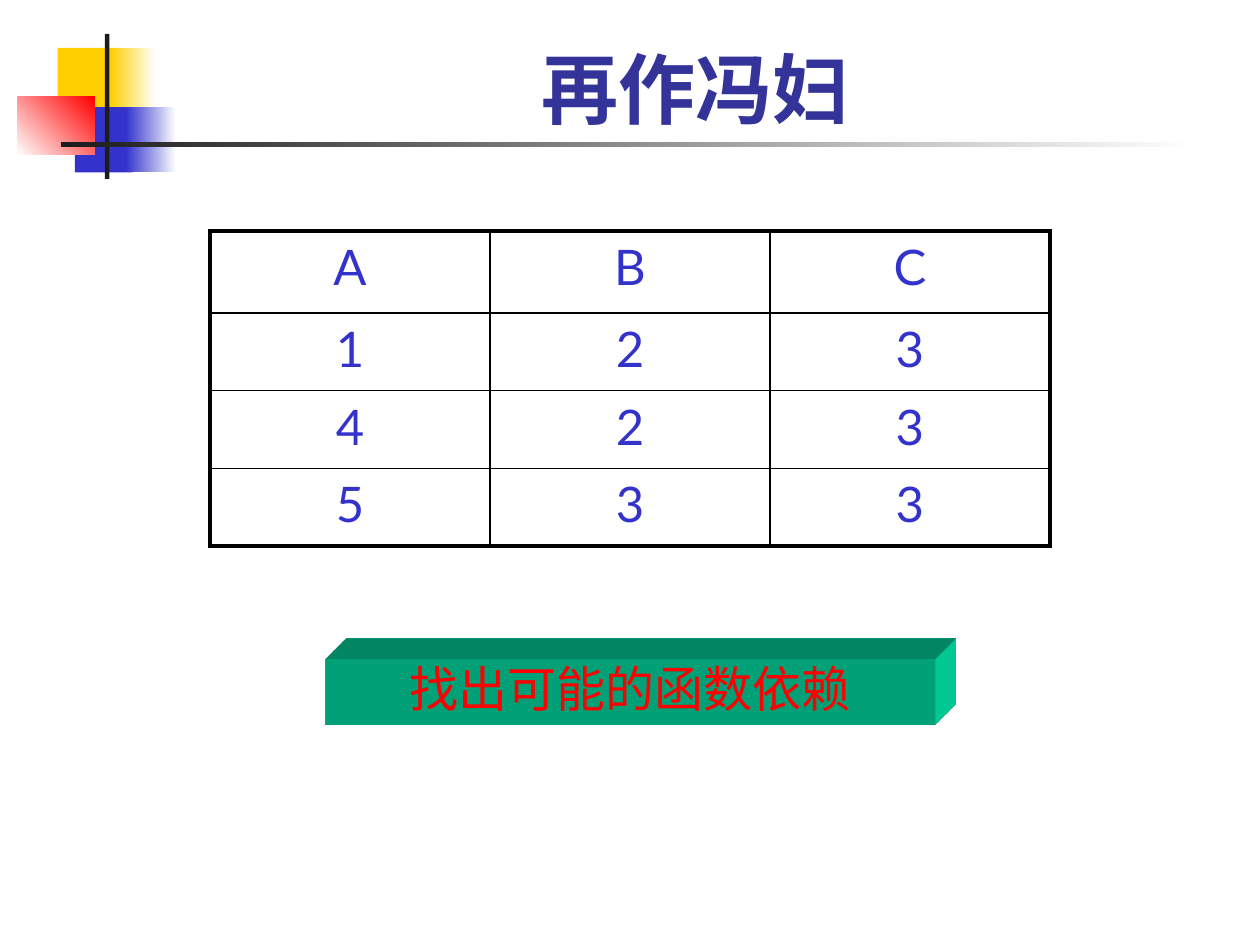
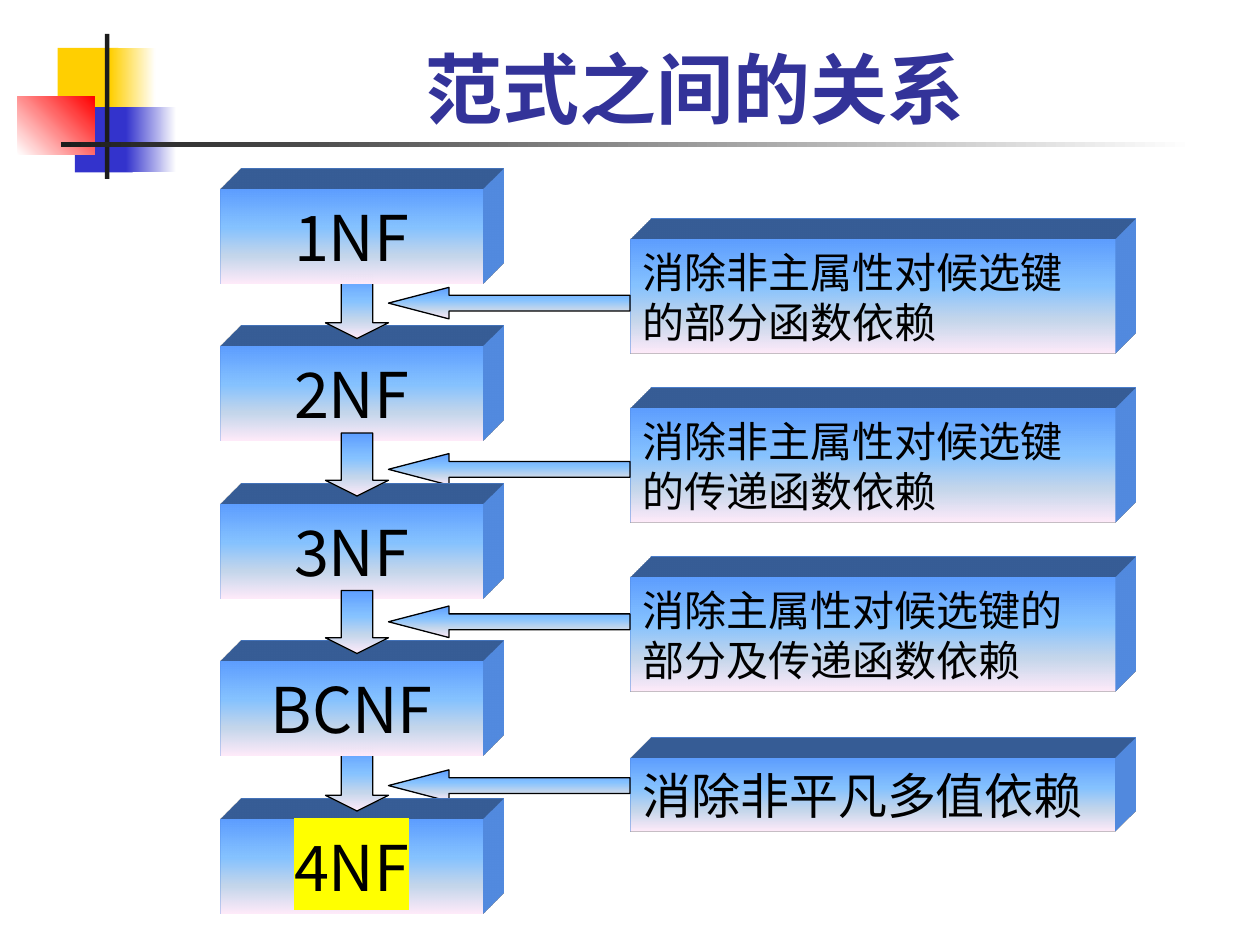
from copy import deepcopy

from lxml import etree
from pptx import Presentation
from pptx.dml import color as dml
from pptx.enum import shapes, text
from pptx.oxml import ns
from pptx.util import Pt

COLORS = {
    "white": "FFFFFF",
    "black": "000000",
    "ink": "1C1C1C",
    "gold": "FFCF01",
    "blue": "3333CC",
    "red": "FF0000",
    "title": "333399",
    "green": "00E4A8",
    "yellow": "FFFF00",
    "sky": "5E9EFF",
    "light sky": "85C2FF",
    "mist": "C4D6EB",
    "blush": "FFEBFA",
}
SKY_STOPS = [(0, "sky"), (0.4, "light sky"), (0.7, "mist"), (1, "blush")]
HEADING_FONT = "Lato"
DIAGRAM_FONT = "Noto Sans CJK JP"
SHAPE = shapes.MSO_SHAPE
ALIGN = text.PP_ALIGN
ANCHOR = text.MSO_ANCHOR

TITLE_BOX = (90.7, 12.2, 613.4, 67.7)
TABLE_BOX = (120, 132, 480, 180)
PROMPT_BOX = (186, 376.6, 348, 37.4)
LADDER_BOX = (126, 108, 150, 414)
NOTES_BOX = (360, 136.8, 277.2, 338.4)

ROWS = ["ABC", "123", "423", "533"]
LEVELS = ["1NF", "2NF", "3NF", "BCNF", "4NF"]
NOTES = [
    ("消除非主属性对候选键的部分函数依赖", 0, 65.5, 24, 27.4),
    ("消除非主属性对候选键的传递函数依赖", 96.5, 65.5, 24, 122.4),
    ("消除主属性对候选键的部分及传递函数依赖", 193, 65.5, 24, 209.5),
    ("消除非平凡多值依赖", 296.6, 41.8, 28, 303.1),
]


def rgb(name):
    return dml.RGBColor.from_string(COLORS[name])


def add_xml(parent, tag, **attributes):
    return etree.SubElement(parent, ns.qn(tag), **attributes)


def write(frame, words, size=28, font=HEADING_FONT, color="black", bold=False,
          align=ALIGN.LEFT, anchor=ANCHOR.TOP, wrap=True, before=0,
          spacing=None, highlight=None):
    frame.word_wrap = wrap
    frame.vertical_anchor = anchor
    para = frame.paragraphs[0]
    para.alignment = align
    para.space_before = Pt(before)
    para.line_spacing = spacing
    span = para.add_run()
    span.text = words
    span.font.size = Pt(size)
    span.font.name = font
    span.font.bold = bold
    span.font.color.rgb = rgb(color)
    if highlight:
        mark = etree.Element(ns.qn("a:highlight"))
        add_xml(mark, "a:srgbClr", val=COLORS[highlight])
        span.font._element.find(ns.qn("a:solidFill")).addnext(mark)


def paint_gradient(shape, stops, angle):
    shape.fill.gradient()
    shape.fill.gradient_angle = -angle % 360
    stop_list = shape._element.spPr.find(".//" + ns.qn("a:gsLst"))
    while len(stop_list) < len(stops):
        stop_list.append(deepcopy(stop_list[0]))
    for stop, (position, name) in zip(shape.fill.gradient_stops, stops):
        stop.position = position
        stop.color.rgb = rgb(name)


def add_block(page, box, fill, kind=SHAPE.RECTANGLE, angle=0, line=None):
    shape = page.shapes.add_shape(kind, *map(Pt, box))
    shape.shadow.inherit = False
    if isinstance(fill, str):
        shape.fill.solid()
        shape.fill.fore_color.rgb = rgb(fill)
    else:
        paint_gradient(shape, fill, angle)
    if line:
        shape.line.color.rgb = rgb(line)
        shape.line.width = Pt(0.75)
    else:
        shape.line.fill.background()
    return shape


def extrude(shape, color):
    properties = shape._element.spPr
    scene = add_xml(properties, "a:scene3d")
    add_xml(scene, "a:camera", prst="legacyObliqueTopRight")
    add_xml(scene, "a:lightRig", rig="legacyFlat3", dir="b")
    solid = add_xml(properties, "a:sp3d", extrusionH=str(int(Pt(33.87))),
                    prstMaterial="legacyMatte")
    side = add_xml(solid, "a:extrusionClr")
    add_xml(side, "a:srgbClr", val=COLORS[color])


def add_sky_block(page, box):
    block = add_block(page, box, SKY_STOPS, angle=90)
    extrude(block, "sky")
    return block


def add_sky_arrow(page, box, kind, adjustments):
    arrow = add_block(page, box, SKY_STOPS, kind, 90, "black")
    for index, value in enumerate(adjustments):
        arrow.adjustments[index] = value


def add_ornament(page, left=10, top=19.4):
    def fade(start, end="white"):
        return [(0, start), (1, end)]

    for x, y, width, height, fill, angle in [
        (23, 8, 34.6, 37.4, "gold", 0),
        (53, 8, 25.9, 37.4, fade("gold"), 0),
        (32.8, 41.8, 33.1, 37.4, "blue", 0),
        (62, 41.8, 28.8, 37.4, fade("blue"), 0),
        (0, 36, 44.2, 33.1, fade("white", "red"), 315),
        (50, 0, 2.5, 82.8, "ink", 0),
        (24.8, 61.9, 648, 2.5, fade("ink"), 0),
    ]:
        add_block(page, (left + x, top + y, width, height), fill, angle=angle)


def add_page(deck, title):
    page = deck.slides.add_slide(deck.slide_layouts[6])
    add_ornament(page)
    box = page.shapes.add_textbox(*map(Pt, TITLE_BOX))
    write(box.text_frame, title, size=44, color="title", bold=True,
          align=ALIGN.CENTER, anchor=ANCHOR.BOTTOM)
    return page


def add_borders(cell, widths):
    properties = cell._tc.get_or_add_tcPr()
    for index, (side, width) in enumerate(widths.items()):
        line = etree.Element(ns.qn("a:ln" + side), w=str(int(Pt(width))))
        fill = add_xml(line, "a:solidFill")
        add_xml(fill, "a:srgbClr", val=COLORS["black"])
        properties.insert(index, line)


def add_relation_table(page, box):
    row_count, column_count = len(ROWS), len(ROWS[0])
    table = page.shapes.add_table(row_count, column_count, *map(Pt, box)).table
    table.first_row = table.horz_banding = False
    for index, row in enumerate(table.rows):
        row.height = Pt(44.4 if index else 46.8)
    for r, values in enumerate(ROWS):
        for c, value in enumerate(values):
            cell = table.cell(r, c)
            cell.fill.background()
            write(cell.text_frame, value, color="blue", align=ALIGN.CENTER,
                  before=5.6)
            outer = {"L": c == 0, "R": c == column_count - 1,
                     "T": r == 0, "B": r == row_count - 1}
            add_borders(cell, {side: 2.25 if edge else 1
                               for side, edge in outer.items()})


def add_prompt(page, box):
    prompt = add_block(page, box, "green")
    extrude(prompt, "green")
    write(prompt.text_frame, "找出可能的函数依赖", font="Times New Roman",
          color="red", align=ALIGN.CENTER, before=5.6, spacing=0.9)


def add_ladder(page, box):
    left, top, width, height = box
    block_height = 54
    step = (height - block_height) / (len(LEVELS) - 1)

    def add_level(index):
        block = add_sky_block(
            page, (left, top + index * step, width, block_height))
        write(block.text_frame, LEVELS[index], size=36, font=DIAGRAM_FONT,
              align=ALIGN.CENTER, anchor=ANCHOR.MIDDLE, wrap=False,
              highlight="yellow" if LEVELS[index] == "4NF" else None)

    def add_step(index):
        add_sky_arrow(page, (left + 60, top + 49.5 + index * step, 36, 36),
                      SHAPE.DOWN_ARROW, (0.5, 0.25))

    for draw, indexes in [(add_level, (1, 4)), (add_step, (0, 3)),
                          (add_level, (0, 2, 3)), (add_step, (2, 1))]:
        for index in indexes:
            draw(index)


def add_notes(page, box):
    left, top, width, _ = box
    for words, offset, height, size, arrow_offset in NOTES:
        note = add_sky_block(page, (left, top + offset, width, height))
        write(note.text_frame, words, size=size, font=DIAGRAM_FONT,
              anchor=ANCHOR.MIDDLE)
        add_sky_arrow(page, (left - 138, top + arrow_offset, 138, 18),
                      SHAPE.LEFT_ARROW, (0.5, 1.92))


def main():
    deck = Presentation()
    deck.slide_width, deck.slide_height = Pt(720), Pt(540)
    page = add_page(deck, "再作冯妇")
    add_relation_table(page, TABLE_BOX)
    add_prompt(page, PROMPT_BOX)
    page = add_page(deck, "范式之间的关系")
    add_notes(page, NOTES_BOX)
    add_ladder(page, LADDER_BOX)
    deck.save("out.pptx")


if __name__ == "__main__":
    main()
